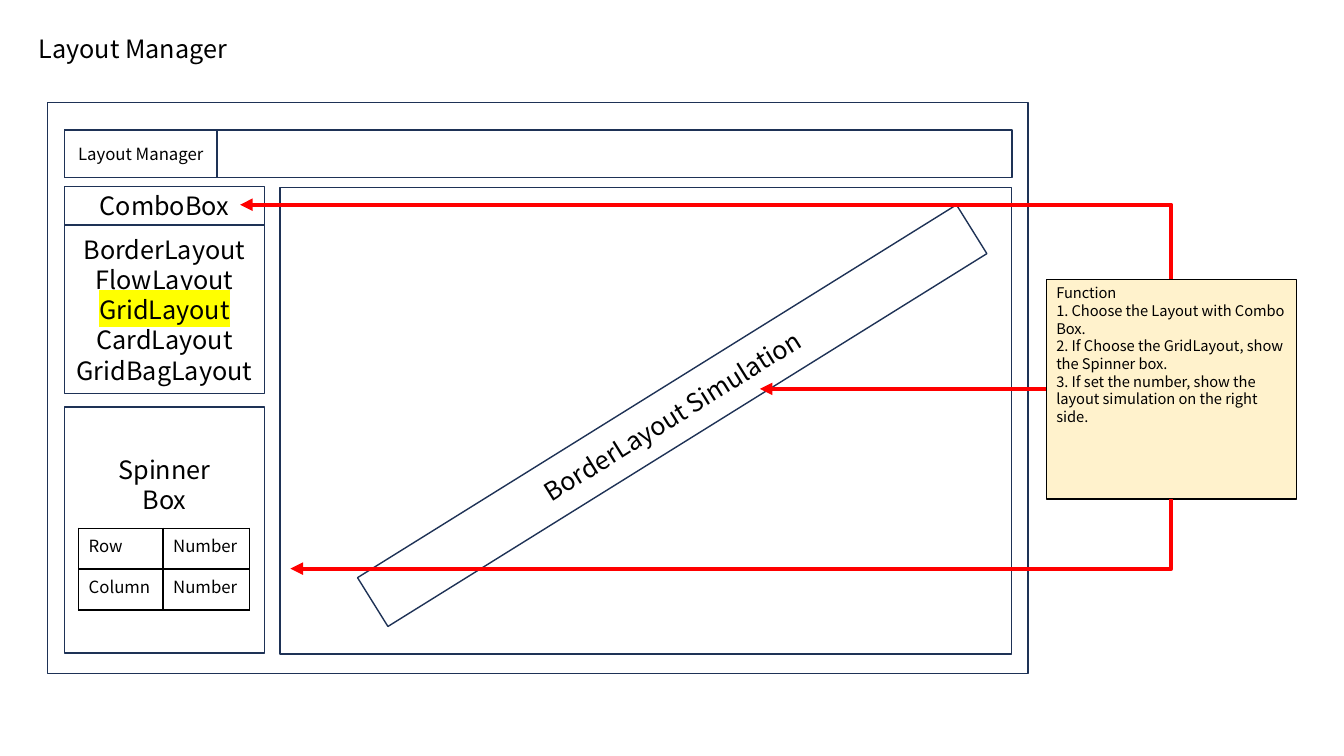
from dataclasses import dataclass

from lxml.etree import SubElement
from pptx import Presentation
from pptx.dml.color import RGBColor
from pptx.enum.shapes import MSO_CONNECTOR, MSO_SHAPE
from pptx.enum.text import MSO_ANCHOR, MSO_AUTO_SIZE, PP_ALIGN
from pptx.oxml.ns import qn
from pptx.util import Cm, Pt


@dataclass(frozen=True)
class Theme:
    font: str = "Noto Sans CJK JP"
    large: float = 18
    medium: float = 12
    small: float = 10.5
    text: str = "000000"
    paper: str = "FFFFFF"
    outline: str = "1E3256"
    note: str = "FFF2CC"
    arrow: str = "FF0000"
    highlight: str = "FFFF00"


theme = Theme()


def write_lines(frame, lines, size, align=PP_ALIGN.LEFT):
    frame.text = "\n".join(lines)
    for paragraph in frame.paragraphs:
        paragraph.alignment = align
        paragraph.line_spacing = 1.0
        paragraph.font.name = theme.font
        paragraph.font.size = Pt(size)
        paragraph.font.color.rgb = RGBColor.from_string(theme.text)


def add_box(place, lines=(), size=theme.large, fill=theme.paper, line=theme.outline):
    shape = slide.shapes.add_shape(MSO_SHAPE.RECTANGLE, *map(Cm, place))
    shape.shadow.inherit = False
    shape.fill.solid()
    shape.fill.fore_color.rgb = RGBColor.from_string(fill)
    shape.line.color.rgb = RGBColor.from_string(line)
    shape.line.width = Pt(1)
    if lines:
        shape.text_frame.word_wrap = True
        shape.text_frame.vertical_anchor = MSO_ANCHOR.MIDDLE
        write_lines(shape.text_frame, lines, size, PP_ALIGN.CENTER)
    return shape


presentation = Presentation()
presentation.slide_width, presentation.slide_height = Cm(33.87), Cm(19.05)
slide = presentation.slides.add_slide(presentation.slide_layouts[5])

# Title
title = slide.shapes.title
title.left, title.top, title.width, title.height = Cm(0.72), Cm(0.71), Cm(5.33), Cm(1.02)
title.text_frame.word_wrap = False
title.text_frame.auto_size = MSO_AUTO_SIZE.NONE
title.text_frame.vertical_anchor = MSO_ANCHOR.TOP
write_lines(title.text_frame, ["Layout Manager"], theme.large)

# Window, simulation area and title bar
panel_left, panel_width = 1.63, 5.03
add_box((1.2, 2.59, 24.71, 14.38))
add_box((7.06, 4.72, 18.44, 11.76))
add_box((panel_left, 3.28, 23.88, 1.19))
add_box((panel_left, 3.28, 3.84, 1.19), ["Layout Manager"], theme.medium)

# Combo box with its choices
add_box((panel_left, 4.7, panel_width, 0.97), ["ComboBox"])
layouts = ["BorderLayout", "FlowLayout", "GridLayout", "CardLayout", "GridBagLayout"]
choices = add_box((panel_left, 5.69, panel_width, 4.22), layouts)
selected = choices.text_frame.paragraphs[layouts.index("GridLayout")].runs[0]
highlight = SubElement(selected._r.get_or_add_rPr(), qn("a:highlight"))
SubElement(highlight, qn("a:srgbClr"), val=theme.highlight)

# Spinner panel, its label raised above the table
spinner = add_box((panel_left, 10.26, panel_width, 6.2), ["Spinner", "Box"])
spinner.text_frame.margin_bottom = Cm(2.42)

# Rotated simulation label
simulation = add_box((8.05, 9.75, 17.78, 1.45), ["BorderLayout Simulation"])
simulation.rotation = 328.1

# Function note
note = add_box((26.37, 7.04, 6.3, 5.54), [
    "Function",
    "1. Choose the Layout with Combo Box.",
    "2. If Choose the GridLayout, show the Spinner box.",
    "3. If set the number, show the layout simulation on the right side.",
], theme.small, theme.note, theme.text)
note.text_frame.vertical_anchor = MSO_ANCHOR.TOP
for paragraph in note.text_frame.paragraphs:
    paragraph.alignment = PP_ALIGN.LEFT

# Arrows, each given as its tip and its end at the note
note_left, note_middle = 26.37, 29.52
arrows = [
    ("bentConnector2", 7.32, 14.33, note_middle, 12.58),
    ("bentConnector2", 6.05, 5.16, note_middle, 7.04),
    ("line", 19.15, 9.8, note_left, 9.8),
]
for geometry, *ends in arrows:
    connector = slide.shapes.add_connector(MSO_CONNECTOR.STRAIGHT, *map(Cm, ends))
    connector.line.color.rgb = RGBColor.from_string(theme.arrow)
    connector.line.width = Pt(3)
    properties = connector._element.spPr
    properties.find(qn("a:prstGeom")).set("prst", geometry)
    SubElement(properties.find(qn("a:ln")), qn("a:headEnd"), type="triangle")
    SubElement(properties, qn("a:effectLst"))

# Spinner table
values = [["Row", "Number"], ["Column", "Number"]]
table = slide.shapes.add_table(2, 2, Cm(1.98), Cm(13.31), Cm(4.31), Cm(2.06)).table
table.first_row = table.horz_banding = False
for column, width in zip(table.columns, (2.13, 2.18)):
    column.width = Cm(width)
for row_index, row_values in enumerate(values):
    for column_index, value in enumerate(row_values):
        cell = table.cell(row_index, column_index)
        write_lines(cell.text_frame, [value], theme.medium)
        cell_properties = cell._tc.get_or_add_tcPr()
        for side in ("lnL", "lnR", "lnT", "lnB"):
            border = SubElement(cell_properties, qn(f"a:{side}"), w=str(Pt(1)))
            border_fill = SubElement(border, qn("a:solidFill"))
            SubElement(border_fill, qn("a:srgbClr"), val=theme.text)
        cell.fill.solid()
        cell.fill.fore_color.rgb = RGBColor.from_string(theme.paper)

presentation.save("out.pptx")
